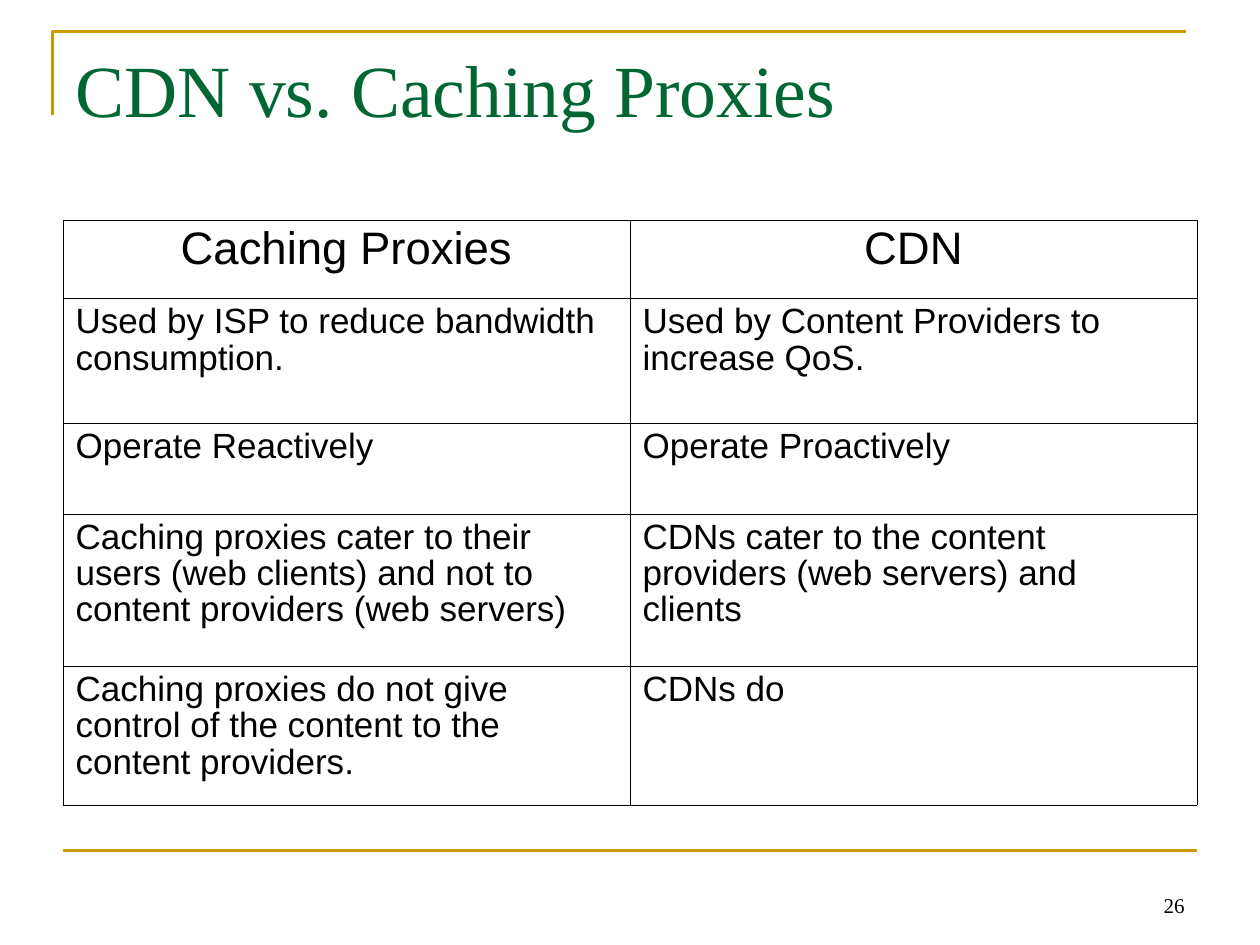
import pptx
import pptx.util
import pptx.dml.color
import pptx.enum.shapes
import pptx.enum.text
import pptx.oxml
import pptx.oxml.ns
import lxml.etree

Pt = pptx.util.Pt
ALIGN = pptx.enum.text.PP_ALIGN
ANCHOR = pptx.enum.text.MSO_ANCHOR
COLORS = {"rule": "CC9900", "title": "006633", "text": "000000"}


def style_text(paragraph, font_name, size, color, alignment):
    paragraph.alignment = alignment
    for run in paragraph.runs:
        run.font.name = font_name
        run.font.size = Pt(size)
        run.font.color.rgb = pptx.dml.color.RGBColor.from_string(COLORS[color])


def set_border(cell, position, side, width):
    border = pptx.oxml.parse_xml(
        f'<a:ln{side} {pptx.oxml.ns.nsdecls("a")} w="{Pt(width)}"><a:solidFill>'
        f'<a:srgbClr val="{COLORS["text"]}"/></a:solidFill></a:ln{side}>'
    )
    cell._tc.get_or_add_tcPr().insert(position, border)


deck = pptx.Presentation()
deck.slide_width, deck.slide_height = Pt(720), Pt(540)
slide = deck.slides.add_slide(deck.slide_layouts[5])

corner_path = slide.shapes.build_freeform(Pt(30), Pt(66), scale=1.0)
corner_path.add_line_segments([(Pt(30), Pt(18)), (Pt(678), Pt(18))], close=False)
corner_rule = corner_path.convert_to_shape()
corner_rule.shadow.inherit = False
corner_rule.fill.background()

bottom_rule = slide.shapes.add_connector(
    pptx.enum.shapes.MSO_CONNECTOR.STRAIGHT, Pt(36), Pt(486), Pt(684), Pt(486)
)
lxml.etree.SubElement(bottom_rule._element.spPr, pptx.oxml.ns.qn("a:effectLst"))
for rule in (corner_rule, bottom_rule):
    rule.line.color.rgb = pptx.dml.color.RGBColor.from_string(COLORS["rule"])
    rule.line.width = Pt(1.5)

title = slide.shapes.title
title.left, title.top, title.width, title.height = Pt(36), Pt(21.6), Pt(648), Pt(90)
title.text_frame.text = "CDN vs. Caching Proxies"
title.text_frame.auto_size = pptx.enum.text.MSO_AUTO_SIZE.NONE
title.text_frame.vertical_anchor = ANCHOR.TOP
style_text(title.text_frame.paragraphs[0], "Times New Roman", 42, "title", ALIGN.LEFT)

comparison = [
    ("Caching Proxies", "CDN"),
    ("Used by ISP to reduce bandwidth consumption.",
     "Used by Content Providers to increase QoS."),
    ("Operate Reactively", "Operate Proactively"),
    ("Caching proxies cater to their users (web clients) and not to content providers (web servers)",
     "CDNs cater to the content providers (web servers) and clients"),
    ("Caching proxies do not give control of the content to the content providers.",
     "CDNs do"),
]
row_heights = [44.6, 71.3, 51.8, 87.1, 79.2]
row_borders = [0.75, 0.75, 0.23, 0.23, 0.23, 0.5]
column_borders = [0.5, 0.23, 0.5]

table = slide.shapes.add_table(
    len(comparison), 2, Pt(36), Pt(126), Pt(648), Pt(sum(row_heights))
).table
table.horz_banding = False
table.first_row = False
for r, (row_texts, height) in enumerate(zip(comparison, row_heights)):
    table.rows[r].height = Pt(height)
    size, alignment = (26, ALIGN.CENTER) if r == 0 else (20, ALIGN.LEFT)
    for c, words in enumerate(row_texts):
        cell = table.cell(r, c)
        cell.text_frame.text = words
        paragraph = cell.text_frame.paragraphs[0]
        style_text(paragraph, "Arial", size, "text", alignment)
        paragraph.line_spacing = 0.93
        paragraph.space_before = Pt(size / 4)
        cell.fill.background()
        widths = {
            "L": column_borders[c],
            "R": column_borders[c + 1],
            "T": row_borders[r],
            "B": row_borders[r + 1],
        }
        for position, (side, width) in enumerate(widths.items()):
            set_border(cell, position, side, width)

page_number = slide.shapes.add_textbox(Pt(516), Pt(492), Pt(168), Pt(36)).text_frame
page_number.word_wrap = True
page_number.vertical_anchor = ANCHOR.BOTTOM
page_number.text = "26"
style_text(page_number.paragraphs[0], "Times New Roman", 12, "text", ALIGN.RIGHT)

deck.save("out.pptx")
